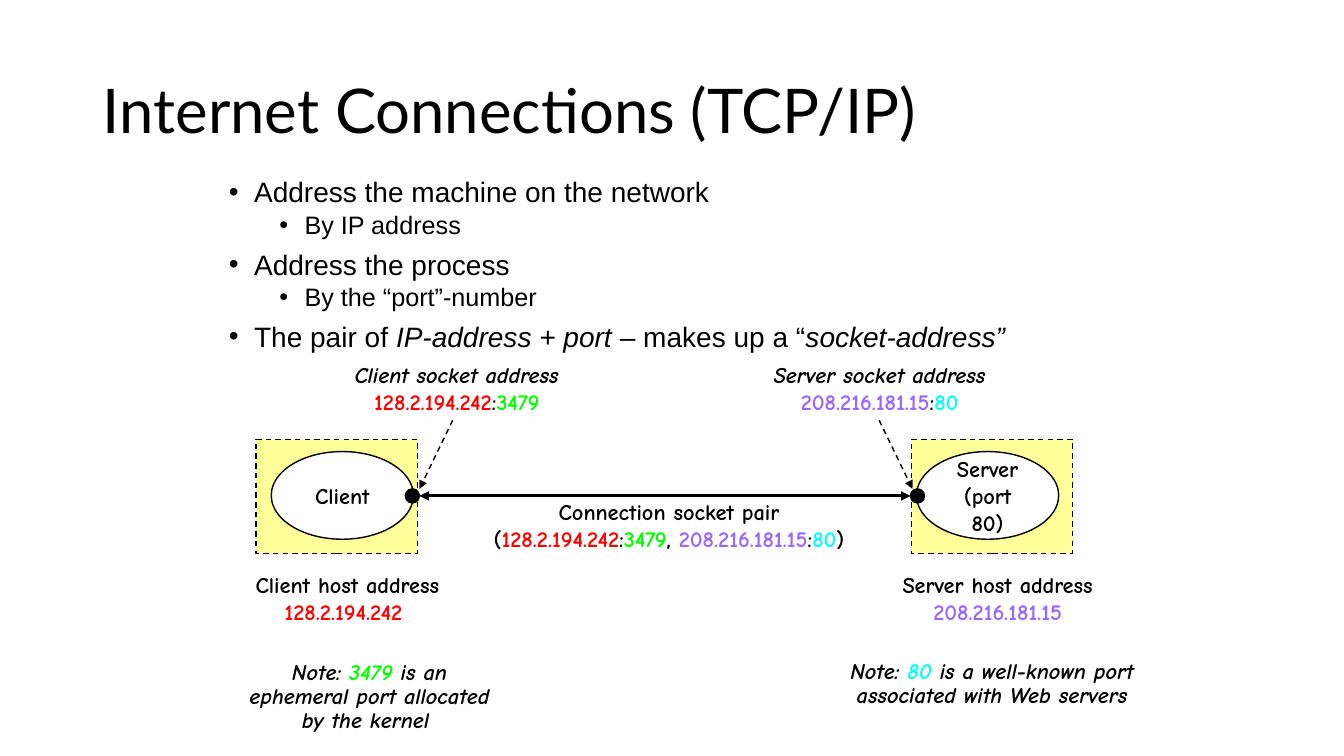
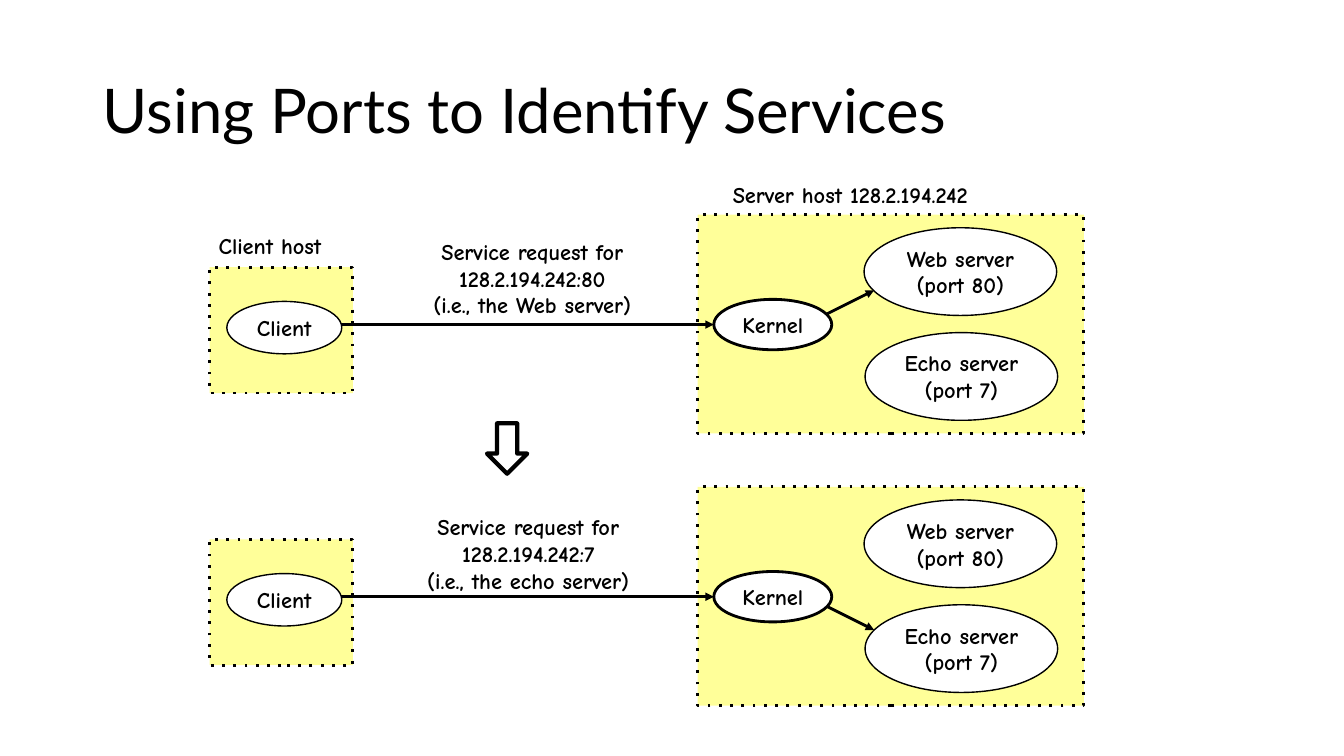
import pptx
import pptx.dml.color
import pptx.enum.dml
import pptx.enum.shapes
import pptx.enum.text
import pptx.oxml
import pptx.util
from pptx.oxml.ns import qn

Inches = pptx.util.Inches
Pt = pptx.util.Pt
rgb = pptx.dml.color.RGBColor.from_string
SHAPE = pptx.enum.shapes.MSO_SHAPE
ALIGN = pptx.enum.text.PP_ALIGN
ANCHOR = pptx.enum.text.MSO_ANCHOR
NO_FIT = pptx.enum.text.MSO_AUTO_SIZE.NONE
DASH = pptx.enum.dml.MSO_LINE.DASH

BLACK = "000000"
WHITE = "FFFFFF"
HOST_FILL = "FFFF99"
TITLE_FONT = "Lato"
BODY_FONT = "Arial"
LABEL_FONT = "Comic Neue"

# Address parts, each with the colour that identifies it
CLIENT_IP = ("128.2.194.242", "FF0000")
CLIENT_PORT = ("3479", "00FF00")
SERVER_IP = ("208.216.181.15", "9966FF")
SERVER_PORT = ("80", "00FFFF")


def add_box(s, at, lines=(), kind=None, fill=None, width=1, dash=None,
            align=ALIGN.CENTER, anchor=ANCHOR.MIDDLE, spacing=1.0, italic_lines=0):
    """Add a text box, or a shape if kind is given.

    Each line is a list of runs: black text or (text, colour) pairs.
    The first italic_lines lines are set in italics.
    """
    at = [Inches(v) for v in at]
    if kind is None:
        sp = s.shapes.add_textbox(*at)
    else:
        sp = s.shapes.add_shape(kind, *at)
        sp.shadow.inherit = False
        if fill:
            sp.fill.solid()
            sp.fill.fore_color.rgb = rgb(fill)
        else:
            sp.fill.background()
        sp.line.color.rgb = rgb(BLACK)
        sp.line.width = Pt(width)
        if dash:
            sp.line.dash_style = DASH
            sp._element.spPr.find(qn("a:ln")).find(qn("a:prstDash")).set("val", dash)
    tf = sp.text_frame
    tf.word_wrap = True
    tf.vertical_anchor = anchor
    for i, runs in enumerate(lines):
        p = tf.paragraphs[0] if i == 0 else tf.add_paragraph()
        p.alignment = align
        p.line_spacing = spacing
        for run in runs:
            text, color = (run, BLACK) if isinstance(run, str) else run
            r = p.add_run()
            r.text = text
            r.font.name = LABEL_FONT
            r.font.size = Pt(16)
            r.font.bold = True
            r.font.italic = i < italic_lines
            r.font.color.rgb = rgb(color)
    return sp


def add_arrow(s, start, end, width, ends=("tailEnd",), dash=None):
    ends_at = [Inches(v) for v in (*start, *end)]
    cn = s.shapes.add_connector(pptx.enum.shapes.MSO_CONNECTOR.STRAIGHT, *ends_at)
    cn.line.color.rgb = rgb(BLACK)
    cn.line.width = Pt(width)
    if dash:
        cn.line.dash_style = dash
    spPr = cn._element.spPr
    ln = spPr.find(qn("a:ln"))
    for name in ends:
        pptx.oxml.parse_xml(f'<a:ln xmlns:a="{ln.nsmap["a"]}"/>')
        ln.append(ln.makeelement(qn(f"a:{name}"), {"type": "triangle"}))
    spPr.append(spPr.makeelement(qn("a:effectLst"), {}))


prs = pptx.Presentation()
prs.slide_width = Inches(13.33)
prs.slide_height = Inches(7.5)

slides = []
for title, layout in (("Internet Connections (TCP/IP)", 1),
                      ("Using Ports to Identify Services", 5)):
    s = prs.slides.add_slide(prs.slide_layouts[layout])
    sp = s.shapes.title
    sp.left, sp.top, sp.width, sp.height = map(Inches, (0.92, 0.4, 11.5, 1.45))
    tf = sp.text_frame
    tf.text = title
    tf.auto_size = NO_FIT
    tf.vertical_anchor = ANCHOR.MIDDLE
    p = tf.paragraphs[0]
    p.alignment = ALIGN.LEFT
    p.line_spacing = 0.9
    font = p.runs[0].font
    font.name = TITLE_FONT
    font.size = Pt(44)
    font.color.rgb = rgb(BLACK)
    slides.append(s)
connections, ports = slides

# Slide 1: bullets, with every second run in italics
bullets = [
    (0, ["Address the machine on the network"]),
    (1, ["By IP address"]),
    (0, ["Address the process"]),
    (1, ["By the “port”-number"]),
    (0, ["The pair of ", "IP-address + port ", "– makes up a “", "socket-address”"]),
]
s = connections
sp = s.placeholders[1]
sp.left, sp.top, sp.width, sp.height = map(Inches, (2.17, 1.75, 9, 2.02))
tf = sp.text_frame
tf.auto_size = NO_FIT
for i, (level, runs) in enumerate(bullets):
    p = tf.paragraphs[0] if i == 0 else tf.add_paragraph()
    p.level = level
    pPr = p._p.get_or_add_pPr()
    pPr.set("marL", str(Inches(0.25 + 0.5 * level)))
    pPr.set("indent", str(Inches(-0.25)))
    pPr.append(pPr.makeelement(qn("a:buFont"), {"typeface": BODY_FONT}))
    pPr.append(pPr.makeelement(qn("a:buChar"), {"char": "•"}))
    p.alignment = ALIGN.LEFT
    p.line_spacing = 0.8
    p.space_before = Pt(0 if i == 0 else 10 - 5 * level)
    for j, text in enumerate(runs):
        r = p.add_run()
        r.text = text
        r.font.name = BODY_FONT
        r.font.size = Pt(20 - 2 * level)
        r.font.italic = j % 2 == 1
        r.font.color.rgb = rgb(BLACK)

# Slide 1: the two hosts and the connection between their sockets
hosts = [
    (2.54, 2.69, 4.02, [["Client"]]),
    (9.04, 9.09, 9.03, [["Server"], ["(port 80)"]]),
]
for host_x, process_x, socket_x, name in hosts:
    add_box(s, (host_x, 4.36, 1.6, 1.13), kind=SHAPE.RECTANGLE, fill=HOST_FILL, dash="dash")
    add_box(s, (process_x, 4.48, 1.41, 0.87), name, SHAPE.OVAL, WHITE)
    add_box(s, (socket_x, 4.85, 0.14, 0.14), kind=SHAPE.OVAL, fill=BLACK)

add_arrow(s, (4.16, 4.92), (9.03, 4.92), 2.25, ends=("headEnd", "tailEnd"))
for start_x, end_x in ((4.49, 4.16), (8.72, 9.05)):
    add_arrow(s, (start_x, 4.17), (end_x, 4.85), 1, dash=DASH)

add_box(s, (4.14, 4.89, 4.99, 0.64), [
    ["Connection socket pair"],
    ["(", CLIENT_IP, ":", CLIENT_PORT, ", ", SERVER_IP, ":", SERVER_PORT, ")"],
])
add_box(s, (3.27, 3.53, 2.52, 0.64),
        [["Client socket address"], [CLIENT_IP, ":", CLIENT_PORT]], italic_lines=1)
add_box(s, (7.31, 3.53, 2.83, 0.64),
        [["Server socket address"], [SERVER_IP, ":", SERVER_PORT]], italic_lines=1)
add_box(s, (2.3, 5.61, 2.29, 0.64), [["Client host address"], [CLIENT_IP, " "]])
add_box(s, (8.69, 5.61, 2.41, 0.64), [["Server host address"], [SERVER_IP]])
add_box(s, (2.22, 6.51, 2.89, 0.82), [
    ["Note: ", CLIENT_PORT, " is an"],
    ["ephemeral port allocated"],
    ["by the kernel "],
], anchor=ANCHOR.TOP, spacing=0.9, italic_lines=3)
add_box(s, (8.1, 6.5, 3.48, 0.58), [
    ["Note: ", SERVER_PORT, " is a well-known port"],
    ["associated with Web servers"],
], anchor=ANCHOR.TOP, spacing=0.9, italic_lines=2)

# Slide 2: the same hosts twice, each time with another service requested
s = ports
requests = [
    (0, (3.83, 2.31, 2.9, 0.9), "80", "Web", (3.13, 2.88)),
    (2.7, (3.91, 5.04, 2.66, 0.9), "7", "echo", (6, 6.25)),
]
for dy, label_at, port, service, (start_y, end_y) in requests:
    for at in ((2.08, 2.65 + dy, 1.42, 1.25), (6.92, 2.13 + dy, 3.83, 2.17)):
        add_box(s, at, kind=SHAPE.RECTANGLE, fill=HOST_FILL, width=2, dash="dot")
    add_box(s, (8.57, 2.26 + dy, 1.91, 0.87), [["Web server"], ["(port 80)"]], SHAPE.OVAL, WHITE)
    add_box(s, (8.58, 3.3 + dy, 1.91, 0.87), [["Echo server"], ["(port 7)"]], SHAPE.OVAL, WHITE)
    add_arrow(s, (3.33, 3.22 + dy), (7.08, 3.22 + dy), 2)
    add_arrow(s, (8.17, start_y), (8.67, end_y), 2)
    add_box(s, (7.08, 2.97 + dy, 1.17, 0.5), [["Kernel"]], SHAPE.OVAL, WHITE, width=2)
    add_box(s, (2.25, 2.99 + dy, 1.14, 0.52), [["Client"]], SHAPE.OVAL, WHITE)
    add_box(s, label_at, [
        ["Service request for"],
        [f"128.2.194.242:{port}"],
        [f"(i.e., the {service} server)"],
    ], anchor=ANCHOR.TOP)

for at, text in (((2.07, 2.25, 1.36, 0.37), "Client host"),
                 ((7.17, 1.75, 3.23, 0.37), "Server host 128.2.194.242")):
    add_box(s, at, [[text]], align=ALIGN.LEFT, anchor=ANCHOR.TOP)
add_box(s, (4.83, 4.2, 0.4, 0.5), kind=SHAPE.DOWN_ARROW, width=3)

prs.save("out.pptx")
